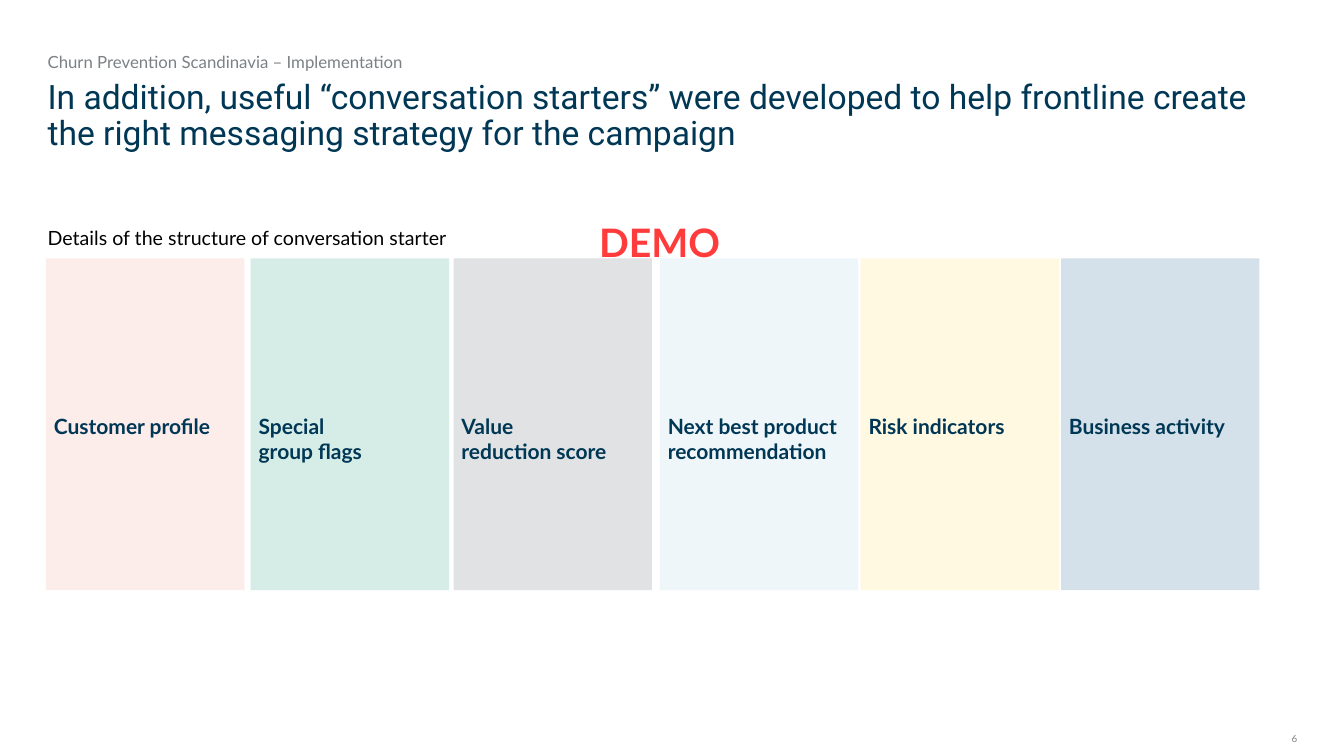
from dataclasses import dataclass

from pptx import Presentation
from pptx.dml.color import RGBColor
from pptx.enum.shapes import MSO_SHAPE
from pptx.enum.text import MSO_ANCHOR, PP_ALIGN
from pptx.slide import Slide
from pptx.text.text import TextFrame
from pptx.util import Cm, Pt

NAVY, GREY = "003755", "7B8185"
TOP, WIDTH, HEIGHT = 6.51, 5.0, 8.36
PAD = 0.2


@dataclass(frozen=True)
class Style:
    size: float
    color: str
    font: str = "Lato"
    bold: bool = False
    align: PP_ALIGN = PP_ALIGN.LEFT
    anchor: MSO_ANCHOR = MSO_ANCHOR.TOP
    space: float = 1.0


@dataclass(frozen=True)
class Label:
    text: str
    left: float
    top: float
    width: float
    height: float
    style: Style


@dataclass(frozen=True)
class Panel:
    text: str
    left: float
    fill: str


def paint(code: str) -> RGBColor:
    return RGBColor.from_string(code)


def write(frame: TextFrame, text: str, style: Style,
          pads: tuple[float, float, float, float] = (0, 0, 0, 0)) -> None:
    frame.word_wrap = True
    frame.vertical_anchor = style.anchor
    (frame.margin_left, frame.margin_top,
     frame.margin_right, frame.margin_bottom) = map(Cm, pads)
    para = frame.paragraphs[0]
    para.alignment = style.align
    para.line_spacing = style.space
    for index, line in enumerate(text.split("\n")):
        if index:
            para.add_line_break()
        run = para.add_run()
        run.text = line
        run.font.name = style.font
        run.font.size = Pt(style.size)
        run.font.bold = style.bold
        run.font.color.rgb = paint(style.color)


def add_label(slide: Slide, item: Label) -> None:
    box = slide.shapes.add_textbox(
        Cm(item.left), Cm(item.top), Cm(item.width), Cm(item.height))
    write(box.text_frame, item.text, item.style)


def add_panel(slide: Slide, item: Panel) -> None:
    box = slide.shapes.add_shape(
        MSO_SHAPE.RECTANGLE, Cm(item.left), Cm(TOP), Cm(WIDTH), Cm(HEIGHT))
    box.shadow.inherit = False
    box.fill.solid()
    box.fill.fore_color.rgb = paint(item.fill)
    box.line.fill.background()
    write(box.text_frame, item.text, Style(15, NAVY, bold=True),
          (PAD, 3.91, PAD, PAD))


# Columns of the conversation starter
PANELS = [
    Panel("Customer profile", 1.16, "FCECEA"),
    Panel("Special\ngroup flags", 6.32, "D6EDE7"),
    Panel("Value\nreduction score", 11.43, "E0E2E3"),
    Panel("Next best product recommendation", 16.63, "EFF6F9"),
    Panel("Risk indicators", 21.69, "FFF9E2"),
    Panel("Business activity", 26.74, "D4E1EA"),
]

# Headings, stamp and page number
LABELS = [
    Label("Churn Prevention Scandinavia – Implementation",
          1.2, 1.3, 23.4, 0.5, Style(12, GREY)),
    Label("In addition, useful “conversation starters” were developed to help "
          "frontline create the right messaging strategy for the campaign",
          1.2, 2.03, 31.5, 1.9, Style(24, NAVY, "Roboto", space=0.9)),
    Label("Details of the structure of conversation starter",
          1.2, 5.69, 30.9, 0.6, Style(14, "000000")),
    Label("DEMO", 14.18, 5.51, 4.88, 1.2,
          Style(28, "FF3B3B", bold=True, align=PP_ALIGN.CENTER)),
    Label("6", 31.6, 18.47, 1.09, 0.3,
          Style(7, GREY, align=PP_ALIGN.RIGHT, anchor=MSO_ANCHOR.BOTTOM)),
]


def main() -> None:
    deck = Presentation()
    deck.slide_width, deck.slide_height = Cm(33.87), Cm(19.05)
    slide = deck.slides.add_slide(deck.slide_layouts[6])
    for panel in PANELS:
        add_panel(slide, panel)
    for label in LABELS:
        add_label(slide, label)
    deck.save("out.pptx")


if __name__ == "__main__":
    main()
